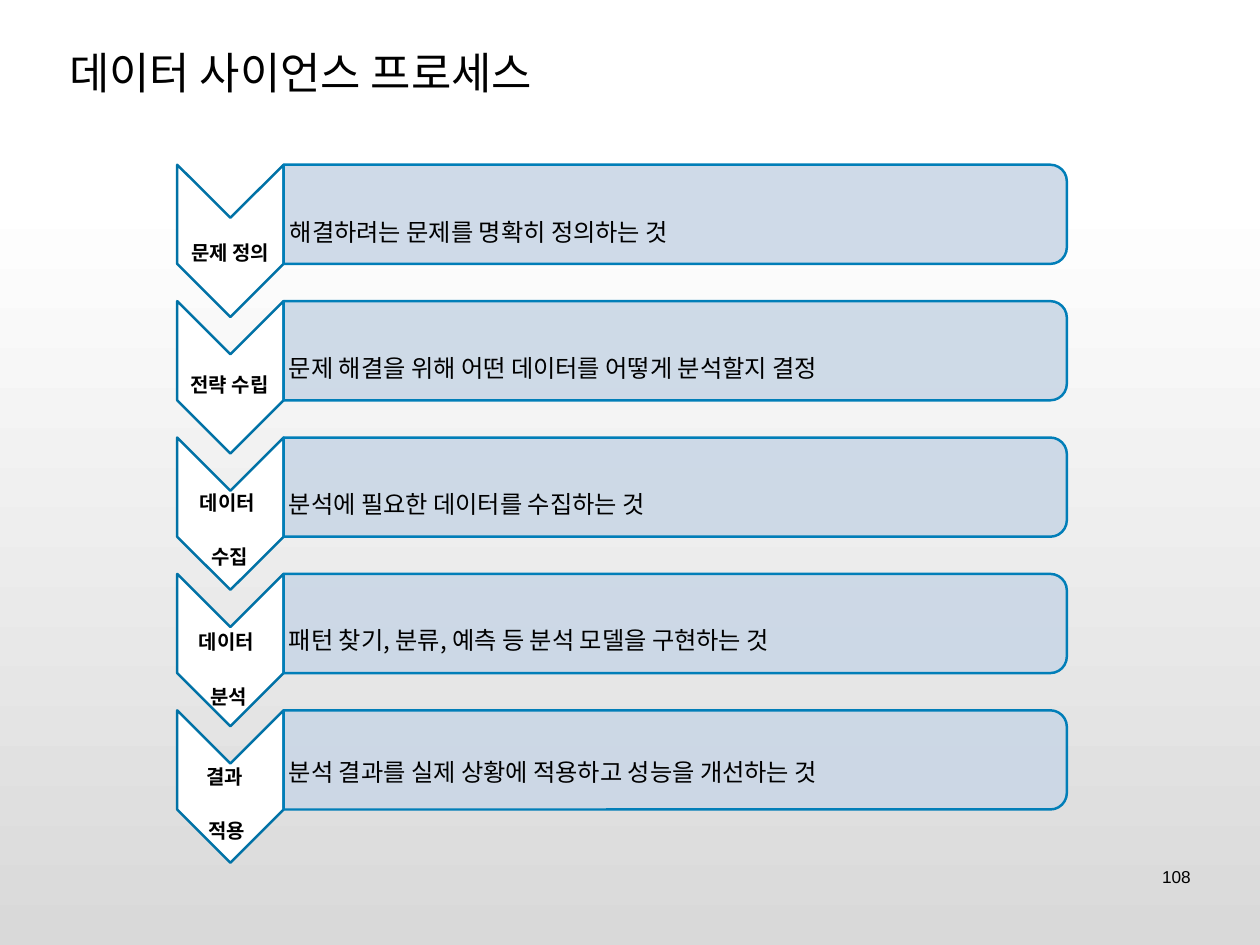
"""Build the slide on the five steps of the data science process."""
from lxml import etree
from pptx import Presentation
from pptx.dml.color import RGBColor
from pptx.enum import shapes, text
from pptx.oxml import ns
from pptx.util import Inches, Pt

COLORS = {"ink": "000000", "white": "FFFFFF", "shade": "D9D9D9", "bar": "CAD7E6",
          "chevron_edge": "0172A6", "bar_edge": "017EB8"}
KOREAN = "Noto Sans CJK KR"
FIRST_TOP, STEP_PITCH = 1.86, 1.54
STEPS = [
    (["문제 정의"], (2, 2.43, 1.2, 0.58),
     "해결하려는 문제를 명확히 정의하는 것", (3.2, 2.1, 8.21, 0.81)),
    (["전략 수립"], (1.99, 3.93, 1.2, 0.58),
     "문제 해결을 위해 어떤 데이터를 어떻게 분석할지 결정", (3.19, 3.63, 8.21, 0.81)),
    (["데이터 ", "수집"], (1.99, 5.25, 1.2, 1.2),
     "분석에 필요한 데이터를 수집하는 것", (3.19, 5.17, 8.21, 0.81)),
    (["데이터 ", "분석"], (1.98, 6.83, 1.2, 1.2),
     "패턴 찾기, 분류, 예측 등 분석 모델을 구현하는 것", (3.19, 6.7, 8.96, 0.81)),
    (["결과 ", "적용"], (1.96, 8.35, 1.2, 1.2),
     "분석 결과를 실제 상황에 적용하고 성능을 개선하는 것", (3.19, 8.19, 8.21, 0.81)),
]


def color(name):
    return RGBColor.from_string(COLORS[name])


def paint_background(page):
    fill = page.background.fill
    fill.gradient()
    fill.gradient_angle = 270
    for stop, position, name in zip(fill.gradient_stops, (0.2, 1), ("white", "shade")):
        stop.position = position
        stop.color.rgb = color(name)


def add_text(page, lines, place, size, font=KOREAN, bold=False, baseline=0, inset=0.07,
             align=None, anchor=text.MSO_ANCHOR.TOP, spacing=None, gap=0, wrap=True):
    box = page.shapes.add_textbox(*map(Inches, place))
    frame = box.text_frame
    frame.word_wrap = wrap
    frame.vertical_anchor = anchor
    frame.margin_left = frame.margin_right = Inches(inset)
    frame.margin_top = frame.margin_bottom = Inches(inset)
    for number, line in enumerate(lines):
        para = frame.add_paragraph() if number else frame.paragraphs[0]
        para.alignment = align
        para.line_spacing = spacing
        if number and gap:
            para.space_before = Pt(gap)
        span = para.add_run()
        span.text = line
        span.font.name = font
        span.font.size = Pt(size)
        span.font.bold = bold
        span.font.color.rgb = color("ink")
        props = span._r.get_or_add_rPr()
        etree.SubElement(props, ns.qn("a:ea"), typeface=KOREAN)
        if baseline:
            props.set("baseline", str(baseline * 1000))


def add_turned_shape(page, kind, center, size, fill, edge, alpha=None):
    (x, y), (width, height) = center, size
    shape = page.shapes.add_shape(kind, Inches(x - width / 2), Inches(y - height / 2),
                                  Inches(width), Inches(height))
    shape.rotation = 90
    shape.shadow.inherit = False
    shape.fill.solid()
    shape.fill.fore_color.rgb = color(fill)
    shape.line.color.rgb = color(edge)
    shape.line.width = Pt(2)
    if alpha:
        tint = shape._element.spPr.find(ns.qn("a:solidFill")).find(ns.qn("a:srgbClr"))
        etree.SubElement(tint, ns.qn("a:alpha"), val=str(alpha * 1000))
    return shape


def add_step(page, top, label, label_place, detail, detail_place):
    chevron = add_turned_shape(page, shapes.MSO_SHAPE.CHEVRON, (2.6, top + 0.86),
                               (1.72, 1.2), "white", "chevron_edge")
    chevron.adjustments[0] = 0.5
    add_turned_shape(page, shapes.MSO_SHAPE.ROUND_2_SAME_RECTANGLE, (7.62, top + 0.56),
                     (1.12, 8.84), "bar", "bar_edge", alpha=90)
    add_text(page, label, label_place, 28, font="Arial", bold=True, baseline=-20,
             inset=0.01, align=text.PP_ALIGN.CENTER, anchor=text.MSO_ANCHOR.MIDDLE,
             spacing=0.9, gap=11)
    add_text(page, [detail], detail_place, 34, baseline=-19)


def main():
    deck = Presentation()
    deck.slide_width, deck.slide_height = Inches(14.22), Inches(10.67)
    page = deck.slides.add_slide(deck.slide_layouts[6])
    paint_background(page)
    add_text(page, ["데이터 사이언스 프로세스"], (0.71, 0.43, 12.8, 0.76), 35.6,
             anchor=text.MSO_ANCHOR.MIDDLE)
    for number, step in enumerate(STEPS):
        add_step(page, FIRST_TOP + number * STEP_PITCH, *step)
    add_text(page, ["108"], (13.03, 9.71, 0.48, 0.36), 14, font="Arial",
             align=text.PP_ALIGN.RIGHT, wrap=False)
    deck.save("out.pptx")


if __name__ == "__main__":
    main()
